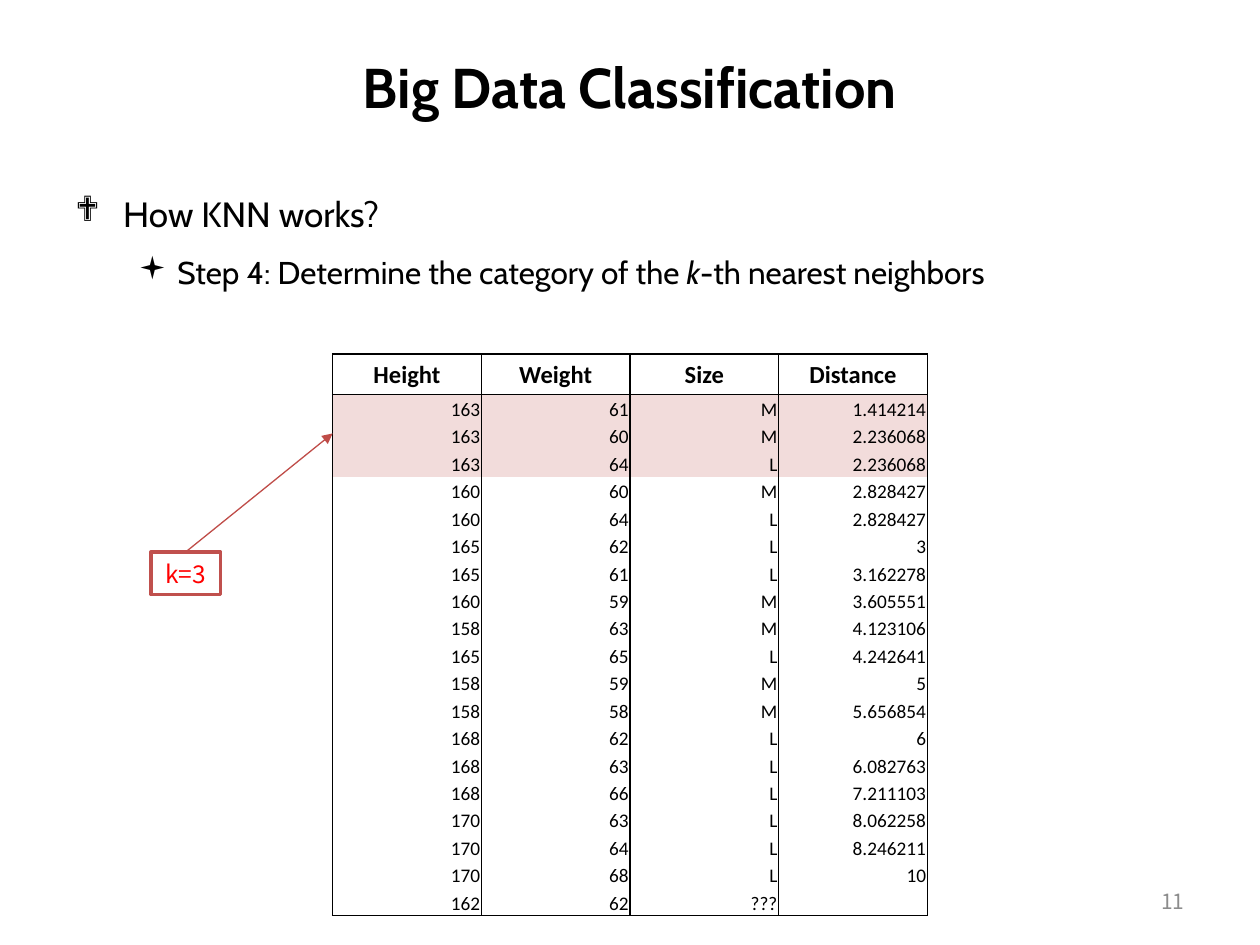
from lxml import etree
from pptx import Presentation
from pptx import util as u
from pptx.dml.color import RGBColor
from pptx.enum import shapes, text
from pptx.oxml import ns

COLORS = {"ink": "000000", "paper": "FFFFFF", "nearest": "F2DCDB", "number": "8C8C8C",
          "arrow": "BF4C48", "frame": "C0504D", "label": "FF0000"}
HEADING, TABLE, PLAIN = "Cabin", "Calibri", "Noto Sans CJK KR"
TITLE = "Big Data Classification"
BULLETS = [
    {"mark": "❖", "level": 0, "size": 20, "left": 0.38, "hang": 0.38,
     "spans": [("How KNN works?", False)]},
    {"mark": "▪", "level": 1, "size": 18, "left": 0.81, "hang": 0.31,
     "spans": [("Step 4: Determine the category of the ", False), ("k", True),
               ("-th nearest neighbors", False)]},
]
HEADER = ("Height", "Weight", "Size", "Distance")
NEIGHBORS = [
    ("163", "61", "M", "1.414214"), ("163", "60", "M", "2.236068"),
    ("163", "64", "L", "2.236068"), ("160", "60", "M", "2.828427"),
    ("160", "64", "L", "2.828427"), ("165", "62", "L", "3"),
    ("165", "61", "L", "3.162278"), ("160", "59", "M", "3.605551"),
    ("158", "63", "M", "4.123106"), ("165", "65", "L", "4.242641"),
    ("158", "59", "M", "5"), ("158", "58", "M", "5.656854"),
    ("168", "62", "L", "6"), ("168", "63", "L", "6.082763"),
    ("168", "66", "L", "7.211103"), ("170", "63", "L", "8.062258"),
    ("170", "64", "L", "8.246211"), ("170", "68", "L", "10"),
    ("162", "62", "???", ""),
]
K = 3
TABLE_LEFT, TABLE_TOP, TABLE_WIDTH, TABLE_HEIGHT = 2.64, 2.81, 4.72, 4.46
HEADER_HEIGHT = 0.32
LABEL_LEFT, LABEL_TOP, LABEL_WIDTH, LABEL_HEIGHT = 1.2, 4.38, 0.55, 0.34


def rgb(name):
    return RGBColor.from_string(COLORS[name])


def child(parent, tag, **attributes):
    return etree.SubElement(parent, ns.qn(tag), attributes)


def style(span, size, face, color="ink", bold=False, italic=False):
    span.font.size, span.font.name = u.Pt(size), face
    span.font.bold, span.font.italic = bold, italic
    span.font.color.rgb = rgb(color)


def add_box(page, left, top, width, height, anchor):
    box = page.shapes.add_textbox(*map(u.Inches, (left, top, width, height)))
    box.text_frame.word_wrap = True
    box.text_frame.vertical_anchor = anchor
    return box.text_frame


def add_line_of_text(page, place, words, align, size, face, color="ink", bold=False):
    para = add_box(page, *place, text.MSO_ANCHOR.MIDDLE).paragraphs[0]
    para.text, para.alignment = words, align
    style(para.runs[0], size, face, color, bold)


def add_bullets(page):
    frame = add_box(page, 0.5, 1.31, 9, 5.83, text.MSO_ANCHOR.TOP)
    for index, item in enumerate(BULLETS):
        para = frame.add_paragraph() if index else frame.paragraphs[0]
        para.level, para.line_spacing = item["level"], 1.5
        para.alignment = text.PP_ALIGN.JUSTIFY
        settings = para._p.get_or_add_pPr()
        settings.set("marL", str(u.Inches(item["left"])))
        settings.set("indent", str(-u.Inches(item["hang"])))
        child(settings, "a:buFont", typeface="Wingdings")
        child(settings, "a:buChar", char=item["mark"])
        for words, italic in item["spans"]:
            span = para.add_run()
            span.text = words
            style(span, item["size"], HEADING, italic=italic)


def set_borders(cell, visible):
    settings = cell._tc.get_or_add_tcPr()
    for side in "LRTB":
        line = child(settings, f"a:ln{side}", w=str(u.Pt(1)))
        if side in visible:
            child(child(line, "a:solidFill"), "a:srgbClr", val=COLORS["ink"])
        else:
            child(line, "a:noFill")


def fill_cell(cell, words, row, last):
    is_header = row == 0
    cell.margin_left = cell.margin_right = cell.margin_top = u.Inches(0.01)
    cell.margin_bottom = 0
    cell.vertical_anchor = text.MSO_ANCHOR.MIDDLE if is_header else text.MSO_ANCHOR.BOTTOM
    set_borders(cell, "LR" + "T" * (row <= 1) + "B" * (row in (0, last)))
    cell.fill.solid()
    cell.fill.fore_color.rgb = rgb("nearest" if 1 <= row <= K else "paper")
    para = cell.text_frame.paragraphs[0]
    para.text = words
    para.alignment = text.PP_ALIGN.CENTER if is_header else text.PP_ALIGN.RIGHT
    for span in para.runs:
        style(span, 14 if is_header else 11, TABLE, bold=is_header)
    if not words:
        child(para._p, "a:endParaRPr", sz="1100")


def add_neighbor_table(page):
    rows = [HEADER] + NEIGHBORS
    place = map(u.Inches, (TABLE_LEFT, TABLE_TOP, TABLE_WIDTH, TABLE_HEIGHT))
    table = page.shapes.add_table(len(rows), len(HEADER), *place).table
    table.first_row = table.horz_banding = False
    for column in table.columns:
        column.width = u.Inches(TABLE_WIDTH / len(HEADER))
    for row, values in enumerate(rows):
        body_height = (TABLE_HEIGHT - HEADER_HEIGHT) / len(NEIGHBORS)
        table.rows[row].height = u.Inches(body_height if row else HEADER_HEIGHT)
        for column, words in enumerate(values):
            fill_cell(table.cell(row, column), words, row, len(NEIGHBORS))


def add_k_label(page):
    ends = (LABEL_LEFT + LABEL_WIDTH / 2, LABEL_TOP, TABLE_LEFT, 3.44)
    arrow = page.shapes.add_connector(shapes.MSO_CONNECTOR.STRAIGHT, *map(u.Inches, ends))
    arrow.line.color.rgb, arrow.line.width = rgb("arrow"), u.Pt(0.75)
    child(arrow.line._get_or_add_ln(), "a:tailEnd", type="triangle")
    child(arrow._element.spPr, "a:effectLst")

    place = map(u.Inches, (LABEL_LEFT, LABEL_TOP, LABEL_WIDTH, LABEL_HEIGHT))
    label = page.shapes.add_shape(shapes.MSO_SHAPE.RECTANGLE, *place)
    label.shadow.inherit = False
    label.fill.solid()
    label.fill.fore_color.rgb = rgb("paper")
    label.line.color.rgb, label.line.width = rgb("frame"), u.Pt(2)
    label.text_frame.word_wrap = False
    para = label.text_frame.paragraphs[0]
    para.text, para.alignment = f"k={K}", text.PP_ALIGN.CENTER
    style(para.runs[0], 14, PLAIN, "label")


def main():
    deck = Presentation()
    deck.slide_width, deck.slide_height = u.Inches(10), u.Inches(7.5)
    page = deck.slides.add_slide(deck.slide_layouts[6])
    add_line_of_text(page, (0.5, 0.3, 9, 0.77), TITLE, text.PP_ALIGN.CENTER, 32, HEADING,
                     bold=True)
    add_bullets(page)
    add_line_of_text(page, (7.17, 6.95, 2.33, 0.4), "11", text.PP_ALIGN.RIGHT, 12, PLAIN,
                     "number")
    add_neighbor_table(page)
    add_k_label(page)
    deck.save("out.pptx")


if __name__ == "__main__":
    main()
